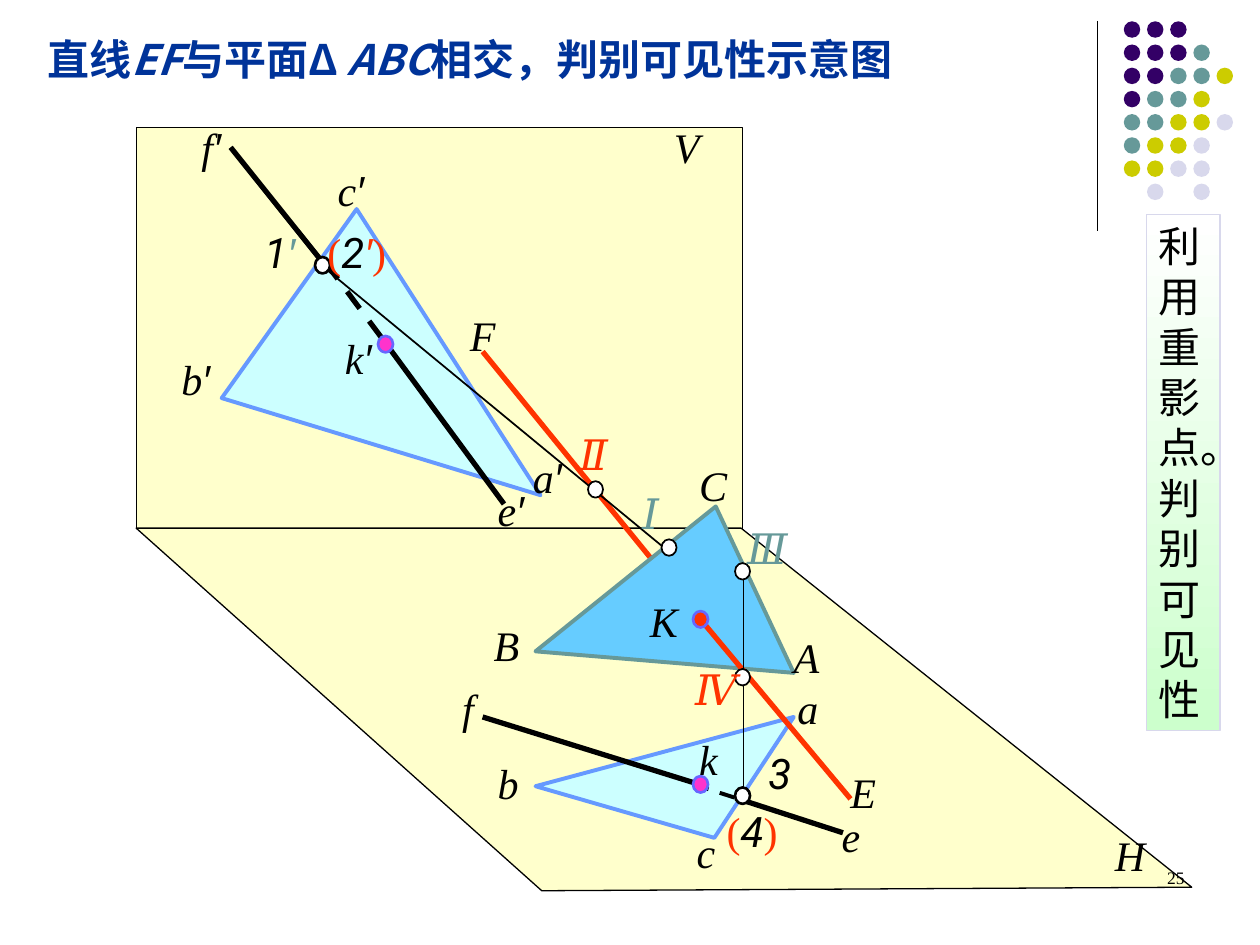
"""Build the slide on the visibility of line EF crossing triangle ABC."""
import pptx
import pptx.dml.color
import pptx.enum.dml
import pptx.enum.shapes
import pptx.enum.text
import pptx.oxml
import pptx.oxml.ns
import pptx.util

Pt = pptx.util.Pt
MSO_SHAPE = pptx.enum.shapes.MSO_SHAPE
ALIGN = pptx.enum.text.PP_ALIGN
COLORS = {
    "black": "000000", "white": "FFFFFF", "cream": "FFFFCC", "ice": "CCFFFF",
    "sky": "66CCFF", "blue": "6699FF", "violet": "6666FF", "teal": "669999",
    "red": "FF3300", "pink": "FF33CC", "navy": "003399", "purple": "330066",
    "olive": "CCCC00", "lilac": "D8D8EC", "mint": "CCFFCC",
}
TIMES, ROBOTO, ARIAL, CJK = "Times New Roman", "Roboto", "Arial", "Noto Sans CJK SC"

TITLE = [("直线", False), ("EF", True), ("与平面Δ", False), (" ABC", True),
         ("相交，判别可见性示意图", False)]
SIDE_NOTE = ["利用重影点。", "判别可见性"]
PAGE_NUMBER = "25"

DOT_ROWS = ["PPP", "PPPT", "PPTTY", "PTTY", "TTYYL", "TYYL", "YYLL", " L L"]
DOT_COLORS = {"P": "purple", "T": "teal", "Y": "olive", "L": "lilac"}
DOT_LEFT, DOT_TOP, DOT_PITCH, DOT_SIZE = 642.2, 12.2, 13.25, 9.4

PLANE_V = [(77.8, 72.7), (424.1, 72.7), (424.1, 302.2), (77.8, 302.2)]
PLANE_H = [(77.8, 301.8), (309.6, 509), (681, 507), (423.5, 301.8)]
TRIANGLE_V = [(126.7, 227.5), (308.9, 283), (203.8, 119.5)]
TRIANGLE_H = [(306, 449.3), (408.2, 478.8), (453.6, 409.7)]
TRIANGLE = [(306, 372.2), (453.6, 384.5), (409, 289.4)]

OUTLINES = [
    ("polygon", PLANE_V, "cream", "black", 0.75),
    ("polygon", PLANE_H, "cream", "black", 0.75),
    ("polygon", TRIANGLE_V, "ice", "blue", 2.25),
    ("line", [(221.8, 198), (288, 288)], None, "black", 3),
    ("line", [(275.8, 200.9), (401.8, 355.7)], None, "red", 3),
    ("polygon", TRIANGLE_H, "ice", "blue", 2.25),
    ("line", [(275.8, 409.7), (398.2, 447.8)], None, "black", 3),
    ("polygon", TRIANGLE, "sky", "teal", 2.25),
    ("line", [(401.8, 355.7), (486, 456.5)], None, "red", 3),
    ("line", [(131.8, 84.2), (184.3, 149.8)], None, "black", 3),
    ("dash", [(185.8, 149.8), (221.8, 198)], None, "black", 3),
    ("line", [(481.7, 475.9), (426.2, 457.9)], None, "black", 3),
    ("dash", [(419.8, 455.8), (401.8, 450)], None, "black", 2.25),
    ("line", [(424.8, 456.5), (424.8, 326.9)], None, "black", 1),
    ("line", [(185.8, 153.4), (378, 311.8)], None, "black", 1),
    ("line", [(627, 12), (627, 132)], None, "black", 0.75),
]

MARKERS = [
    (396, 349.2, "red", "violet", 1.5), (216, 192, "pink", "violet", 1.5),
    (396, 443.5, "pink", "violet", 1.5), (420, 321.8, "white", "black", 1),
    (420, 382.3, "white", "black", 1), (378, 308.2, "white", "black", 1),
    (336, 275, "white", "black", 1), (180, 146.9, "white", "black", 1.5),
    (420, 450, "white", "black", 1.5),
]
MARKER_WIDTH, MARKER_HEIGHT = 8.6, 9.4

POINT_LABELS = [
    ("H", 630, 470.2, "black"), ("V", 378, 66.2, "black"),
    ("a′", 297.4, 254.2, "black"), ("b′", 96.5, 198.7, "black"),
    ("c′", 185.8, 90.7, "black"), ("c", 391, 468.7, "black"),
    ("e", 473.8, 459.4, "black"), ("a", 448.6, 386.6, "black"),
    ("A", 446.4, 357.1, "black"), ("B", 275, 350.6, "black"),
    ("b", 277.2, 429.1, "black"), ("C", 392.4, 259.2, "black"),
    ("F", 261.4, 173.5, "black"), ("E", 478.8, 434.2, "black"),
    ("f′", 108, 66.2, "black"), ("f", 257, 386.6, "black"),
    ("k′", 190, 186.5, "black"), ("K", 364.3, 337, "black"),
    ("k", 392.4, 415.4, "black"), ("e′", 277.2, 273.6, "black"),
    ("Ⅰ", 360, 275, "teal"), ("Ⅱ", 324, 241.2, "red"),
    ("Ⅲ", 419.8, 295.2, "teal"), ("Ⅳ", 390.2, 375.8, "red"),
]
LEFT_BRACKET, RIGHT_BRACKET = ("(", TIMES, "red", False), (")", TIMES, "red", False)
NUMBER_LABELS = [
    ([("1", ROBOTO, "black", True), ("′", ARIAL, "teal", True)], 144, 126),
    ([LEFT_BRACKET, ("2", ROBOTO, "black", True), ("′", ARIAL, "red", True),
      RIGHT_BRACKET], 180, 126),
    ([LEFT_BRACKET, ("4", ROBOTO, "black", True), RIGHT_BRACKET], 408.2, 456.5),
    ([("3", ROBOTO, "black", True)], 432, 423.4),
]
LABEL_WIDTH, LABEL_HEIGHT = 54, 36


def rgb(name):
    return pptx.dml.color.RGBColor.from_string(COLORS[name])


def paint(shape, fill, line, width):
    shape.shadow.inherit = False
    if fill:
        shape.fill.solid()
        shape.fill.fore_color.rgb = rgb(fill)
    if line:
        shape.line.color.rgb = rgb(line)
        shape.line.width = Pt(width)
    else:
        shape.line.fill.background()


def add_run(paragraph, text, font_name, color, **formats):
    run = paragraph.add_run()
    run.text = text
    for key, value in {"name": font_name, "size": Pt(24), **formats}.items():
        setattr(run.font, key, value)
    run.font.color.rgb = rgb(color)
    east_asian = pptx.oxml.parse_xml(
        f'<a:ea {pptx.oxml.ns.nsdecls("a")} typeface="{font_name}"/>')
    run.font._element.find(pptx.oxml.ns.qn("a:latin")).addnext(east_asian)


def add_oval(slide, left, top, width, height, fill, line=None, line_width=0):
    oval = slide.shapes.add_shape(
        MSO_SHAPE.OVAL, Pt(left), Pt(top), Pt(width), Pt(height))
    paint(oval, fill, line, line_width)


def add_outline(slide, kind, points, fill, line, width):
    points = [(Pt(x), Pt(y)) for x, y in points]
    if kind == "polygon":
        builder = slide.shapes.build_freeform(*points[0], scale=1.0)
        builder.add_line_segments(points[1:], close=True)
        paint(builder.convert_to_shape(), fill, line, width)
        return
    connector = slide.shapes.add_connector(
        pptx.enum.shapes.MSO_CONNECTOR.STRAIGHT, *points[0], *points[1])
    connector.line.color.rgb = rgb(line)
    connector.line.width = Pt(width)
    if kind == "dash":
        connector.line.dash_style = pptx.enum.dml.MSO_LINE.DASH
    connector._element.spPr.append(
        pptx.oxml.parse_xml(f'<a:effectLst {pptx.oxml.ns.nsdecls("a")}/>'))


def add_text(slide, runs, left, top, width=LABEL_WIDTH, align=ALIGN.LEFT, **formats):
    box = slide.shapes.add_textbox(Pt(left), Pt(top), Pt(width), Pt(LABEL_HEIGHT))
    box.text_frame.word_wrap = True
    paragraph = box.text_frame.paragraphs[0]
    paragraph.alignment = align
    for text, font_name, color, italic in runs:
        add_run(paragraph, text, font_name, color, italic=italic, **formats)


def add_side_note(slide):
    note = slide.shapes.add_shape(
        MSO_SHAPE.RECTANGLE, Pt(655.2), Pt(122.4), Pt(42), Pt(295.2))
    paint(note, None, "lilac", 0.75)
    note.fill.gradient()
    note.fill.gradient_angle = 270
    for stop, color, position in zip(note.fill.gradient_stops, ("white", "mint"), (0, 1)):
        stop.color.rgb = rgb(color)
        stop.position = position
    frame = note.text_frame
    frame.word_wrap = True
    frame.vertical_anchor = pptx.enum.text.MSO_ANCHOR.TOP
    for index, text in enumerate(SIDE_NOTE):
        paragraph = frame.add_paragraph() if index else frame.paragraphs[0]
        paragraph.alignment = ALIGN.LEFT
        add_run(paragraph, text, CJK, "black")


def set_title(slide):
    title = slide.shapes.title
    box = {"left": 20.2, "top": 15.8, "width": 522.7, "height": 36}
    for key, value in box.items():
        setattr(title, key, Pt(value))
    frame_formats = {"word_wrap": False, "auto_size": pptx.enum.text.MSO_AUTO_SIZE.NONE,
                     "vertical_anchor": pptx.enum.text.MSO_ANCHOR.TOP}
    for key, value in frame_formats.items():
        setattr(title.text_frame, key, value)
    paragraph = title.text_frame.paragraphs[0]
    paragraph.alignment = ALIGN.LEFT
    for text, italic in TITLE:
        add_run(paragraph, text, CJK, "navy", bold=True, italic=italic)


def main():
    presentation = pptx.Presentation()
    presentation.slide_width, presentation.slide_height = Pt(720), Pt(540)
    slide = presentation.slides.add_slide(presentation.slide_layouts[5])
    set_title(slide)
    for row, marks in enumerate(DOT_ROWS):
        for column, mark in enumerate(marks):
            if mark in DOT_COLORS:
                add_oval(slide, DOT_LEFT + column * DOT_PITCH, DOT_TOP + row * DOT_PITCH,
                         DOT_SIZE, DOT_SIZE, DOT_COLORS[mark])
    for outline in OUTLINES:
        add_outline(slide, *outline)
    for left, top, *style in MARKERS:
        add_oval(slide, left, top, MARKER_WIDTH, MARKER_HEIGHT, *style)
    for text, left, top, color in POINT_LABELS:
        runs = [(letter, ARIAL if letter == "′" else TIMES, color, True) for letter in text]
        add_text(slide, runs, left, top)
    for runs, left, top in NUMBER_LABELS:
        add_text(slide, runs, left, top)
    add_side_note(slide)
    add_text(slide, [(PAGE_NUMBER, TIMES, "black", False)], 516.2, 491.8, 167.8,
             ALIGN.RIGHT, size=Pt(10))
    presentation.save("out.pptx")


if __name__ == "__main__":
    main()
